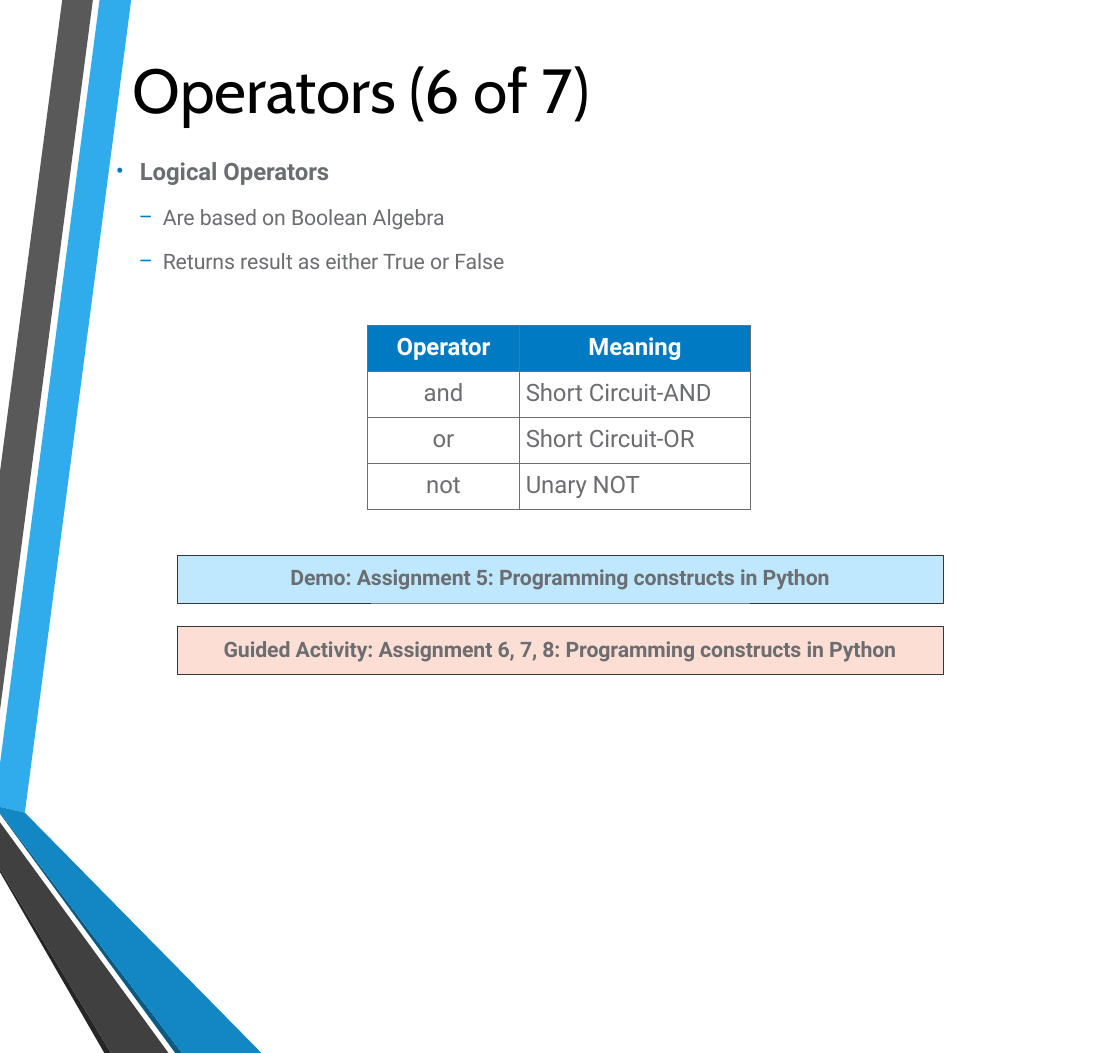
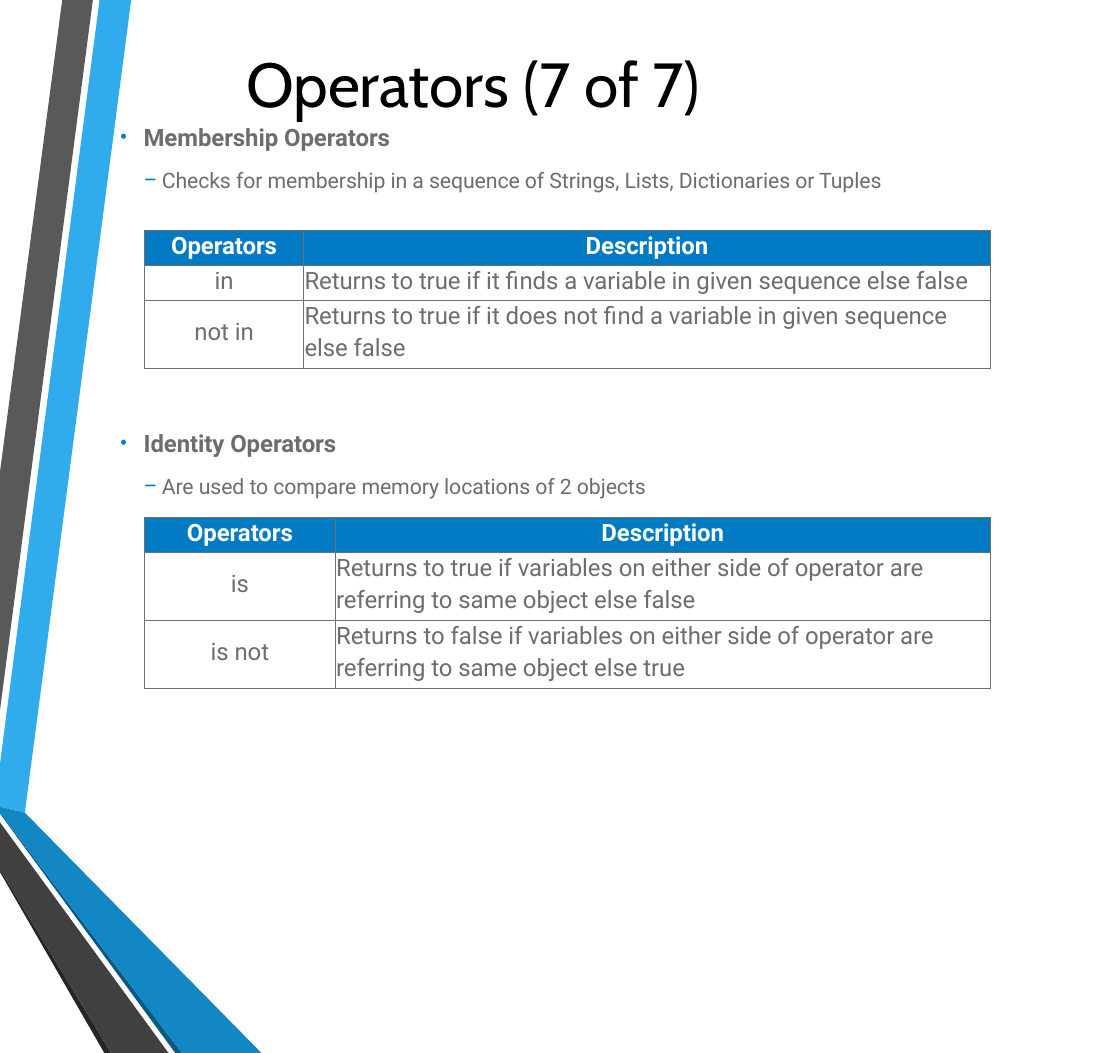
import pptx
import pptx.dml.color
import pptx.enum.shapes
import pptx.enum.text
import pptx.oxml
import pptx.oxml.ns
import pptx.util
from pptx.util import Inches

COLORS = {
    "title": "000000", "text": "6C6D70", "accent": "007BC3", "white": "FFFFFF",
    "grid": "6D6E70", "outline": "353638", "demo": "BFE8FF", "activity": "FCDED4",
    "light_blue": "30ACEC", "grey": "595959", "black": "262626",
    "deep_blue": "0C5A82", "blue": "1287C3", "charcoal": "404040",
}
TITLE_FONT, BODY_FONT = "Cabin", "Roboto"
CENTER = pptx.enum.text.PP_ALIGN.CENTER
LEFT = pptx.enum.text.PP_ALIGN.LEFT
SLIDE_WIDTH, SLIDE_HEIGHT = pptx.util.Pt(842), pptx.util.Pt(792)

BANDS = [
    ("light_blue", [(0, 7.98), (0, 8.43), (0.26, 8.49), (1.37, 0), (1.04, 0)]),
    ("grey", [(0.97, 0), (0.65, 0), (0, 4.93), (0, 7.42)]),
    ("black", [(0, 9.08), (0, 9.11), (1.09, 11), (1.16, 11)]),
    ("deep_blue", [(0, 8.49), (0, 8.5), (1.83, 11), (1.9, 11)]),
    ("blue", [(0, 8.49), (1.9, 11), (2.73, 11), (0.26, 8.49), (0, 8.43)]),
    ("charcoal", [(0, 9.08), (1.16, 11), (1.76, 11), (0, 8.59)]),
]

# Boxes are (left, top, width, height). In a table, a list in a cell holds one
# paragraph per item, and "pads" gives the left inset of the last column and
# the top insets of one-line cells, row by row.
SLIDES = [
    {
        "title": "Operators (6 of 7)",
        "title_box": (0.86, 0.59, 5.82, 0.66),
        "lists": [
            {"box": (1.19, 1.63, 4.2, 1.25), "heading": "Logical Operators",
             "points": ["Are based on Boolean Algebra",
                        "Returns result as either True or False"],
             "point_indent": (0.51, 0.25), "space_before": 14},
        ],
        "tables": [
            {"at": (3.84, 3.4), "columns": (1.58, 2.42), "rows": (0.48,) * 4,
             "pads": (0.07, (0.08,) * 4),
             "cells": [("Operator", "Meaning"), ("and", "Short Circuit-AND"),
                       ("or", "Short Circuit-OR"), ("not", "Unary NOT")]},
        ],
        "banners": [
            ("demo", "Demo: Assignment 5: Programming constructs in Python"),
            ("activity", "Guided Activity: Assignment 6, 7, 8: Programming constructs in Python"),
        ],
    },
    {
        "title": "Operators (7 of 7)",
        "title_box": (1.12, 0.46, 7.64, 0.8),
        "lists": [
            {"box": (1.23, 1.27, 8.16, 0.76), "heading": "Membership Operators",
             "points": ["Checks for membership in a sequence of Strings, Lists, "
                        "Dictionaries or Tuples"],
             "point_indent": (0.46, 0.19), "space_before": 12},
            {"box": (1.23, 4.47, 5.6, 0.76), "heading": "Identity Operators",
             "points": ["Are used to compare memory locations of 2 objects"],
             "point_indent": (0.46, 0.19), "space_before": 12},
        ],
        "tables": [
            {"at": (1.51, 2.41), "columns": (1.66, 7.17), "rows": (0.36, 0.37, 0.71),
             "pads": (0.01, (0.02, 0.02, 0.19)),
             "cells": [
                 ("Operators", "Description"),
                 ("in", "Returns to true if it finds a variable in given sequence else false"),
                 ("not in", ["Returns to true if it does not find a variable in given sequence",
                             "else false"])]},
            {"at": (1.51, 5.41), "columns": (1.99, 6.84), "rows": (0.36, 0.71, 0.71),
             "pads": (0.01, (0.02, 0.19, 0.19)),
             "cells": [
                 ("Operators", "Description"),
                 ("is", ["Returns to true if variables on either side of operator are",
                         "referring to same object else false"]),
                 ("is not", ["Returns to false if variables on either side of operator are",
                             "referring to same object else true"])]},
        ],
        "banners": [],
    },
]
BANNER_BOX, BANNER_STEP = (1.85, 5.8, 8, 0.5), 0.75


def rgb(name):
    return pptx.dml.color.RGBColor.from_string(COLORS[name])


def xml(text):
    return pptx.oxml.parse_xml(text.replace(">", f" {pptx.oxml.ns.nsdecls('a')}>", 1))


def add_run(paragraph, text, size, color="text", bold=False, font=BODY_FONT):
    run = paragraph.add_run()
    run.text = text
    run.font.name = font
    run.font.size = pptx.util.Pt(size)
    run.font.bold = bold
    run.font.color.rgb = rgb(color)
    run._r.get_or_add_rPr().set("spc", "-5")


def set_insets(frame, left=0, top=0.01, bottom=0):
    """Inset a text frame or a table cell; the right inset is always zero."""
    frame.margin_left, frame.margin_top = Inches(left), Inches(top)
    frame.margin_right, frame.margin_bottom = 0, Inches(bottom)


def set_bullet(paragraph, character, indent, hanging):
    properties = paragraph._p.get_or_add_pPr()
    properties.set("marL", str(Inches(indent)))
    properties.set("indent", str(-Inches(hanging)))
    properties.append(xml(f'<a:buClr><a:srgbClr val="{COLORS["accent"]}"/></a:buClr>'))
    properties.append(xml(f'<a:buFont typeface="{BODY_FONT}"></a:buFont>'))
    properties.append(xml(f'<a:buChar char="{character}"></a:buChar>'))


def add_bands(slide, layout):
    """Build the side bands and move them to the layout, behind everything."""
    for position, (color, points) in enumerate(BANDS, start=2):
        corners = [(Inches(x), Inches(y)) for x, y in points]
        builder = slide.shapes.build_freeform(*corners[0])
        builder.add_line_segments(corners[1:], close=True)
        shape = builder.convert_to_shape()
        shape.shadow.inherit = False
        shape.fill.solid()
        shape.fill.fore_color.rgb = rgb(color)
        shape.line.fill.background()
        layout.shapes.element.insert(position, shape.element)


def add_title(slide, text, box):
    title = slide.shapes.title
    title.left, title.top, title.width, title.height = map(Inches, box)
    frame = title.text_frame
    set_insets(frame)
    frame.vertical_anchor = pptx.enum.text.MSO_ANCHOR.MIDDLE
    frame.auto_size = pptx.enum.text.MSO_AUTO_SIZE.SHAPE_TO_FIT_TEXT
    frame.paragraphs[0].alignment = CENTER
    add_run(frame.paragraphs[0], text, 46.8, "title", font=TITLE_FONT)


def add_list(slide, content):
    frame = slide.shapes.add_textbox(*map(Inches, content["box"])).text_frame
    frame.word_wrap = True
    set_insets(frame)
    heading = frame.paragraphs[0]
    set_bullet(heading, "•", 0.27, 0.25)
    add_run(heading, content["heading"], 18, bold=True)
    for point in content["points"]:
        paragraph = frame.add_paragraph()
        paragraph.level = 1
        paragraph.space_before = pptx.util.Pt(content["space_before"])
        set_bullet(paragraph, "–", *content["point_indent"])
        add_run(paragraph, point, 16)


def format_cell(cell, is_header):
    properties = cell._tc.get_or_add_tcPr()
    for side in "LRTB":
        properties.append(xml(
            f'<a:ln{side} w="12700"><a:solidFill><a:srgbClr val="{COLORS["grid"]}"/>'
            f'</a:solidFill></a:ln{side}>'))
    if is_header:
        cell.fill.solid()
        cell.fill.fore_color.rgb = rgb("accent")
    else:
        cell.fill.background()


def add_table(slide, content):
    columns, rows = content["columns"], content["rows"]
    left_pad, top_pads = content["pads"]
    size = (sum(columns), sum(rows))
    table = slide.shapes.add_table(
        len(rows), len(columns), *map(Inches, content["at"] + size)).table
    table.first_row = table.horz_banding = False
    for column, width in zip(table.columns, columns):
        column.width = Inches(width)
    for row_index, (row, height) in enumerate(zip(table.rows, rows)):
        row.height = Inches(height)
        is_header = row_index == 0
        for column_index, text in enumerate(content["cells"][row_index]):
            cell = table.cell(row_index, column_index)
            centered = is_header or column_index == 0
            lines = text if isinstance(text, list) else [text]
            set_insets(cell, 0 if centered else left_pad,
                       top_pads[row_index] if len(lines) == 1 else 0.02)
            format_cell(cell, is_header)
            for line_index, line in enumerate(lines):
                if line_index == 0:
                    paragraph = cell.text_frame.paragraphs[0]
                else:
                    paragraph = cell.text_frame.add_paragraph()
                    paragraph.space_before = pptx.util.Pt(3)
                paragraph.alignment = CENTER if centered else LEFT
                add_run(paragraph, line, 18, "white" if is_header else "text", is_header)


def add_banner(slide, index, color, text):
    left, top, width, height = BANNER_BOX
    box = (left, top + index * BANNER_STEP, width, height)
    banner = slide.shapes.add_shape(
        pptx.enum.shapes.MSO_SHAPE.RECTANGLE, *map(Inches, box))
    banner.shadow.inherit = False
    banner.fill.solid()
    banner.fill.fore_color.rgb = rgb(color)
    banner.line.color.rgb = rgb("outline")
    banner.line.width = pptx.util.Pt(0.75)
    set_insets(banner.text_frame, top=0, bottom=0.04)
    banner.text_frame.vertical_anchor = pptx.enum.text.MSO_ANCHOR.MIDDLE
    paragraph = banner.text_frame.paragraphs[0]
    paragraph.alignment = CENTER
    add_run(paragraph, text, 16, bold=True)


def main():
    presentation = pptx.Presentation()
    presentation.slide_width, presentation.slide_height = SLIDE_WIDTH, SLIDE_HEIGHT
    layout = presentation.slide_layouts.get_by_name("Title Only")
    for index, content in enumerate(SLIDES):
        slide = presentation.slides.add_slide(layout)
        if index == 0:
            add_bands(slide, layout)
        add_title(slide, content["title"], content["title_box"])
        for bullet_list in content["lists"]:
            add_list(slide, bullet_list)
        for table in content["tables"]:
            add_table(slide, table)
        for banner_index, (color, text) in enumerate(content["banners"]):
            add_banner(slide, banner_index, color, text)
    presentation.save("out.pptx")


if __name__ == "__main__":
    main()
